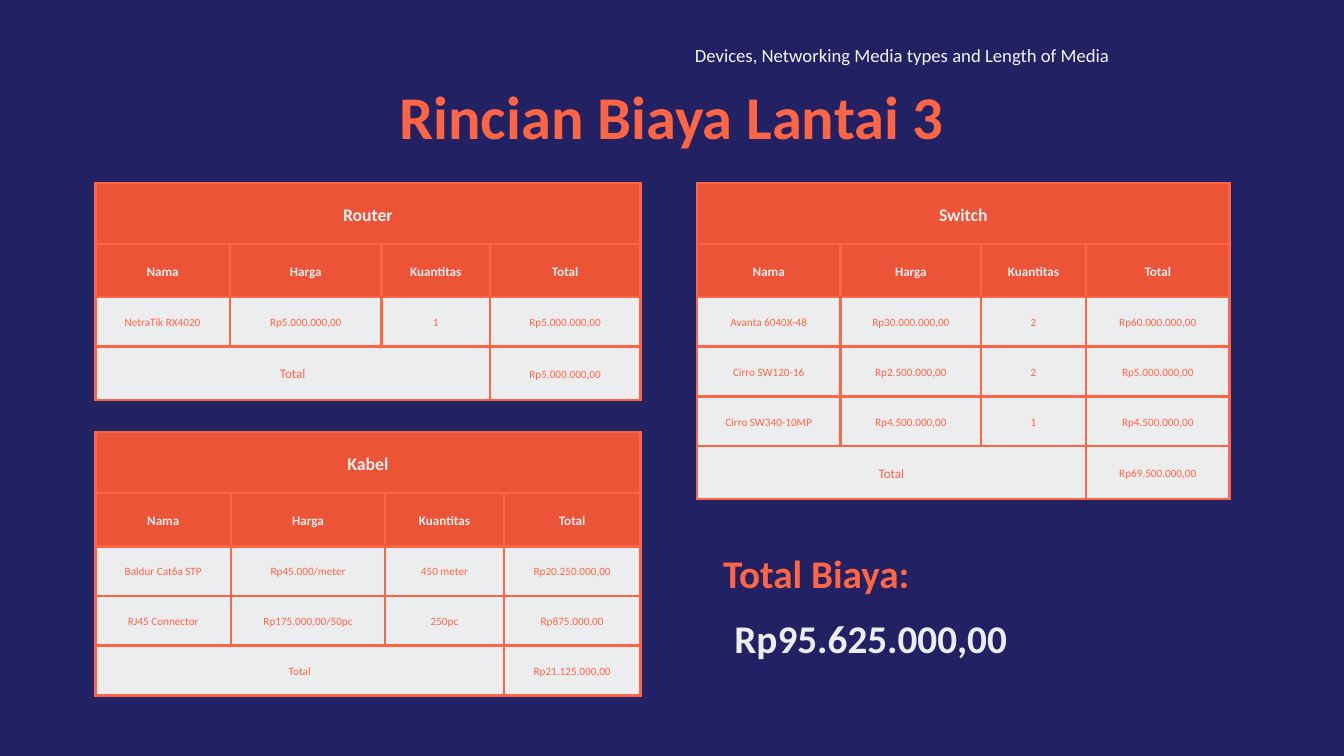
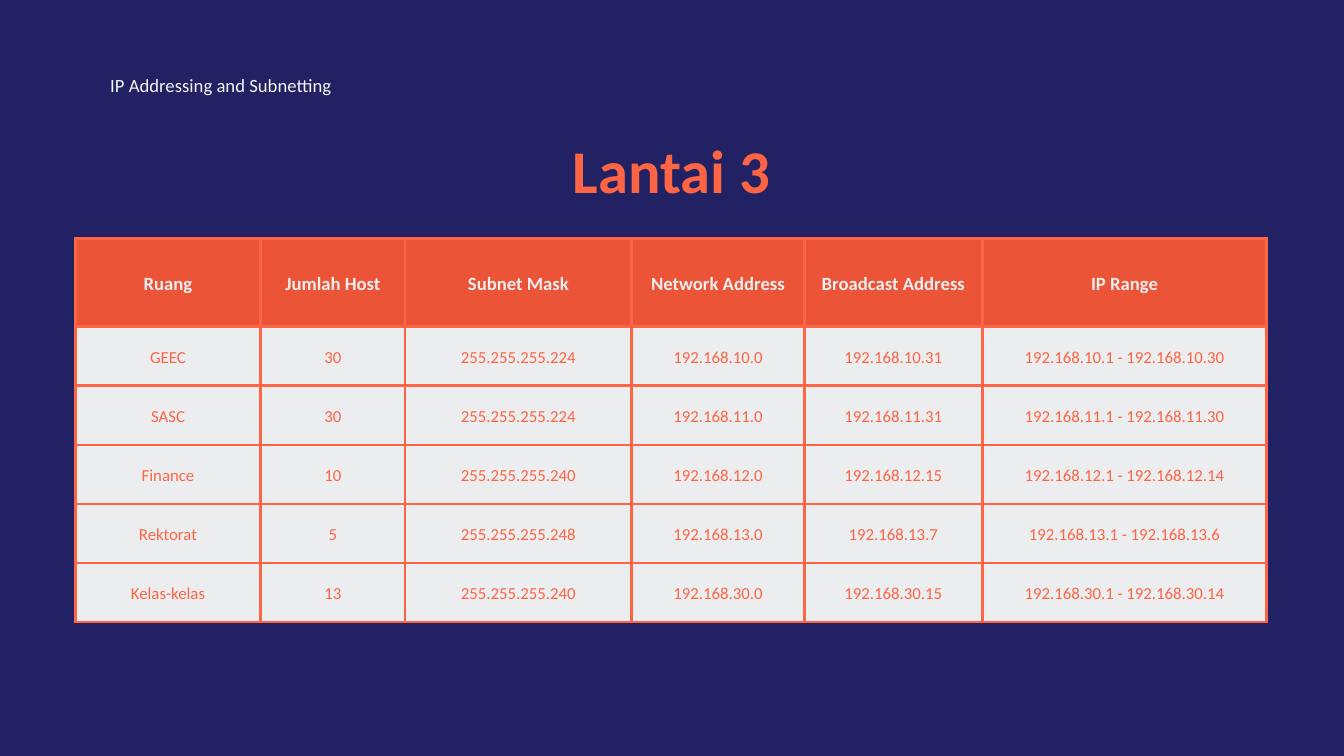
from lxml import etree
from pptx import Presentation
from pptx.dml.color import RGBColor
from pptx.enum import text as t
from pptx.oxml import ns
from pptx.util import Inches, Pt

NAVY = RGBColor(0x21, 0x21, 0x63)
CORAL = RGBColor(0xFE, 0x65, 0x44)
BRICK = RGBColor(0xEB, 0x54, 0x36)
PALE = RGBColor(0xEC, 0xED, 0xEF)
WHITE = RGBColor(0xF5, 0xF5, 0xF5)
LEFT, MID = t.PP_ALIGN.LEFT, t.PP_ALIGN.CENTER

# Row kinds: height, size of first cell, size of other cells, ink, bold, fill
KINDS = {
    "name": (0.91, 19, 19, PALE, True, BRICK),
    "head": (0.79, 14, 14, PALE, True, BRICK),
    "item": (0.74, 12, 12, CORAL, False, PALE),
    "sum": (0.79, 14, 12, CORAL, False, PALE),
    "wide head": (1.31, 20, 20, PALE, True, BRICK),
    "wide item": (0.88, 18, 18, CORAL, False, PALE),
}
# Text styles: size, ink, bold, alignment
STYLES = {
    "title": (65, CORAL, True, MID),
    "label": (42, CORAL, True, LEFT),
    "amount": (42, PALE, True, LEFT),
    "topic": (20, WHITE, False, LEFT),
}
HEAD = ("head", "Nama", "Harga", "Kuantitas", "Total")

COSTS = [
    (1.42, 2.72, (2, 2.26, 1.61, 2.24), [
        ("name", "Router"),
        HEAD,
        ("item", "NetraTik RX4020", "Rp5.000.000,00", "1", "Rp5.000.000,00"),
        ("sum", "Total", "Rp5.000.000,00"),
    ]),
    (10.37, 2.72, (2.14, 2.09, 1.56, 2.14), [
        ("name", "Switch"),
        HEAD,
        ("item", "Avanta 6040X-48", "Rp30.000.000,00", "2", "Rp60.000.000,00"),
        ("item", "Cirro SW120-16", "Rp2.500.000,00", "2", "Rp5.000.000,00"),
        ("item", "Cirro SW340-10MP", "Rp4.500.000,00", "1", "Rp4.500.000,00"),
        ("sum", "Total", "Rp69.500.000,00"),
    ]),
    (1.42, 6.43, (2.02, 2.29, 1.77, 2.03), [
        ("name", "Kabel"),
        HEAD,
        ("item", "Baldur Cat6a STP", "Rp45.000/meter", "450 meter", "Rp20.250.000,00"),
        ("item", "RJ45 Connector", "Rp175.000,00/50pc", "250pc", "Rp875.000,00"),
        ("item", "Total", "Rp21.125.000,00"),
    ]),
]
# Room, hosts, last octet of mask, third octet of network, last octet of broadcast
ROOMS = [
    ("GEEC", 30, 224, 10, 31),
    ("SASC", 30, 224, 11, 31),
    ("Finance", 10, 240, 12, 15),
    ("Rektorat", 5, 248, 13, 7),
    ("Kelas-kelas", 13, 240, 30, 15),
]
SUBNETS = [("wide head", "Ruang", "Jumlah Host", "Subnet Mask",
            "Network Address", "Broadcast Address", "IP Range")]
for room, hosts, mask, net, last in ROOMS:
    base = f"192.168.{net}"
    SUBNETS.append(("wide item", room, str(hosts), f"255.255.255.{mask}",
                    f"{base}.0", f"{base}.{last}", f"{base}.1 - {base}.{last - 1}"))

FLOORS = [
    (COSTS, [
        ("title", "Rincian Biaya Lantai 3", 4.76, 1, 10.48, 1.23),
        ("label", "Total Biaya:", 10.76, 8.06, 3.86, 0.79),
        ("amount", "Rp95.625.000,00", 10.93, 9.02, 5.84, 0.79),
        ("topic", "Devices, Networking Media types and Length of Media",
         10.34, 0.6, 7.99, 0.37),
    ]),
    ([(1.12, 3.55, (2.76, 2.15, 3.37, 2.57, 2.65, 4.23), SUBNETS)], [
        ("topic", "IP Addressing and Subnetting", 1.64, 1.05, 4.68, 0.37),
        ("title", "Lantai 3", 7.89, 1.8, 4.21, 1.23),
    ]),
]


def write(frame, words, size, ink, bold, align):
    para = frame.paragraphs[0]
    para.alignment = align
    para.line_spacing = Pt(size * 1.4)
    run = para.add_run()
    run.text = words
    for key, value in dict(name="Calibri", size=Pt(size), bold=bold).items():
        setattr(run.font, key, value)
    run.font.color.rgb = ink


def paint(cell, fill):
    """Fill a cell and draw its four borders."""
    props = cell._tc.get_or_add_tcPr()
    for side in ("lnL", "lnR", "lnT", "lnB"):
        line = etree.SubElement(props, ns.qn(f"a:{side}"), w=str(Pt(3)))
        solid = etree.SubElement(line, ns.qn("a:solidFill"))
        etree.SubElement(solid, ns.qn("a:srgbClr"), val=str(CORAL))
    cell.fill.solid()
    cell.fill.fore_color.rgb = fill
    cell.vertical_anchor = t.MSO_ANCHOR.MIDDLE
    for side in ("left", "right", "top", "bottom"):
        setattr(cell, f"margin_{side}", Inches(0.21))


deck = Presentation()
deck.slide_width, deck.slide_height = Inches(20), Inches(11.25)

for tables, labels in FLOORS:
    slide = deck.slides.add_slide(deck.slide_layouts[6])
    slide.background.fill.solid()
    slide.background.fill.fore_color.rgb = NAVY

    for left, top, widths, rows in tables:
        count = len(widths)
        tall = sum(KINDS[row[0]][0] for row in rows)
        place = [Inches(n) for n in (left, top, sum(widths), tall)]
        table = slide.shapes.add_table(len(rows), count, *place).table
        table.first_row = table.horz_banding = False
        for col, width in zip(table.columns, widths):
            col.width = Inches(width)
        for r, (kind, *words) in enumerate(rows):
            height, first, rest, ink, bold, fill = KINDS[kind]
            table.rows[r].height = Inches(height)
            for c in range(count):
                paint(table.cell(r, c), fill)
            extra = count - len(words)
            if extra:
                table.cell(r, 0).merge(table.cell(r, extra))
            for i, word in enumerate(words):
                cell = table.cell(r, i + extra if i else 0)
                write(cell.text_frame, word, rest if i else first, ink, bold, MID)

    for style, words, *place in labels:
        frame = slide.shapes.add_textbox(*[Inches(n) for n in place]).text_frame
        frame.word_wrap = True
        frame.auto_size = t.MSO_AUTO_SIZE.SHAPE_TO_FIT_TEXT
        for side in ("left", "right", "top", "bottom"):
            setattr(frame, f"margin_{side}", 0)
        write(frame, words, *STYLES[style])

deck.save("out.pptx")
